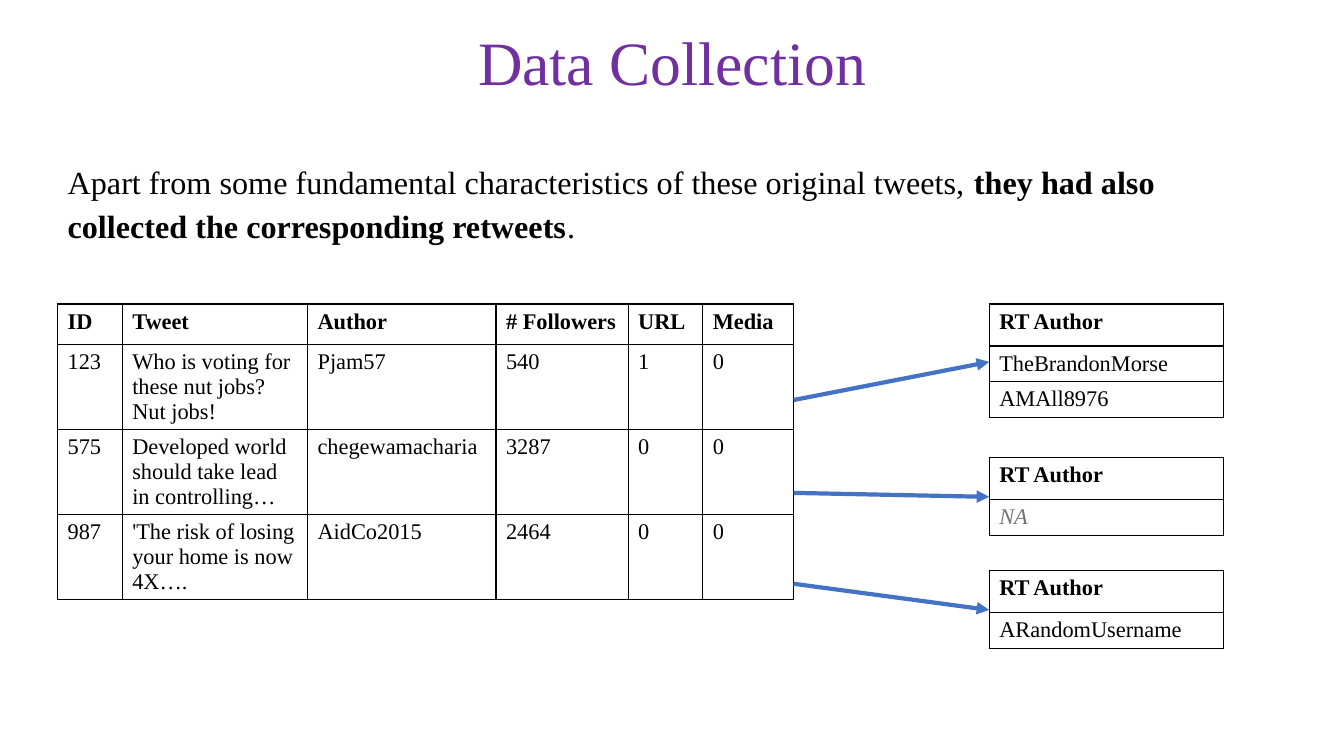
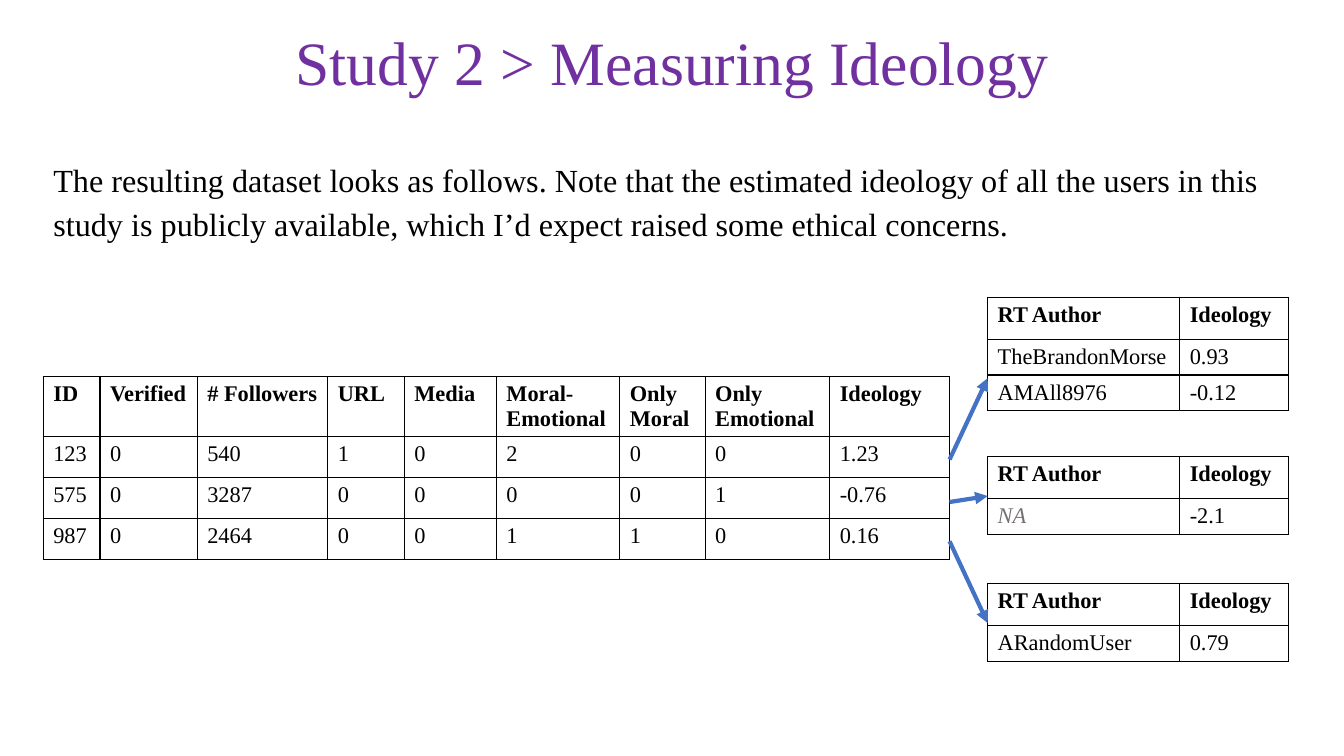
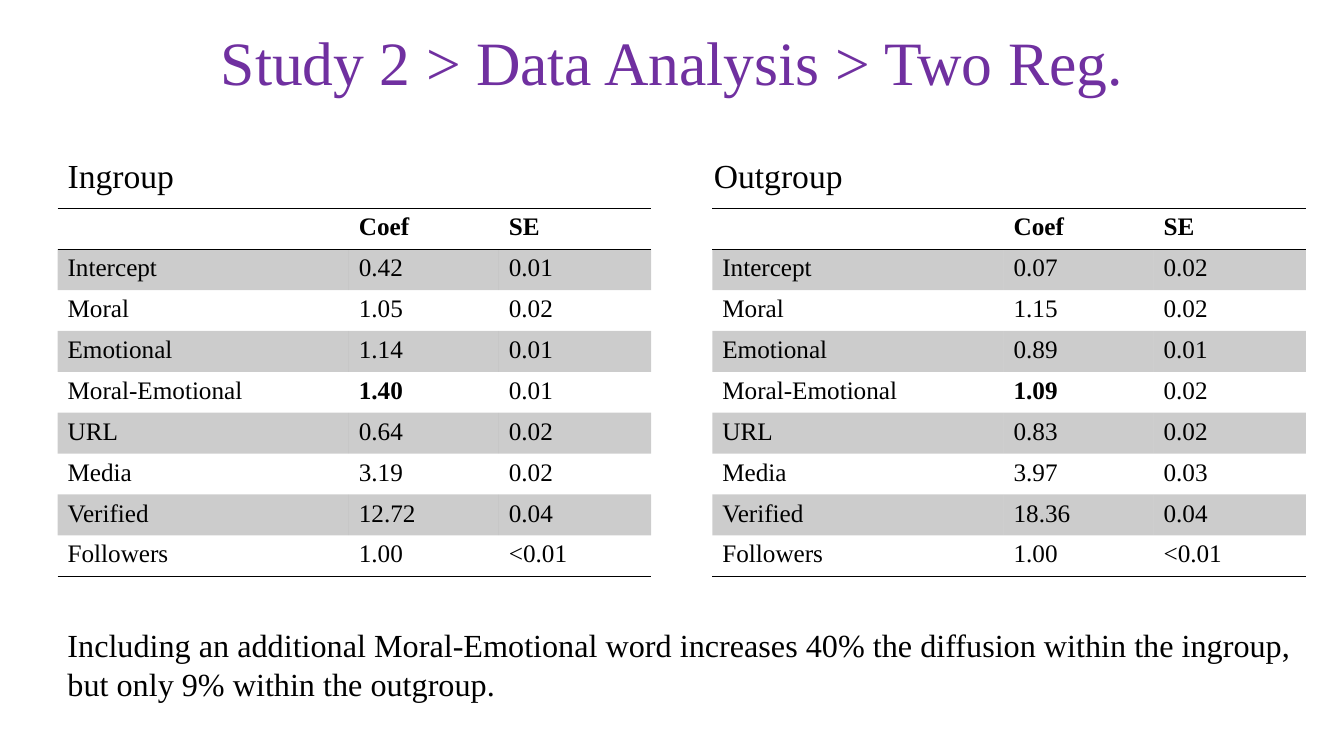
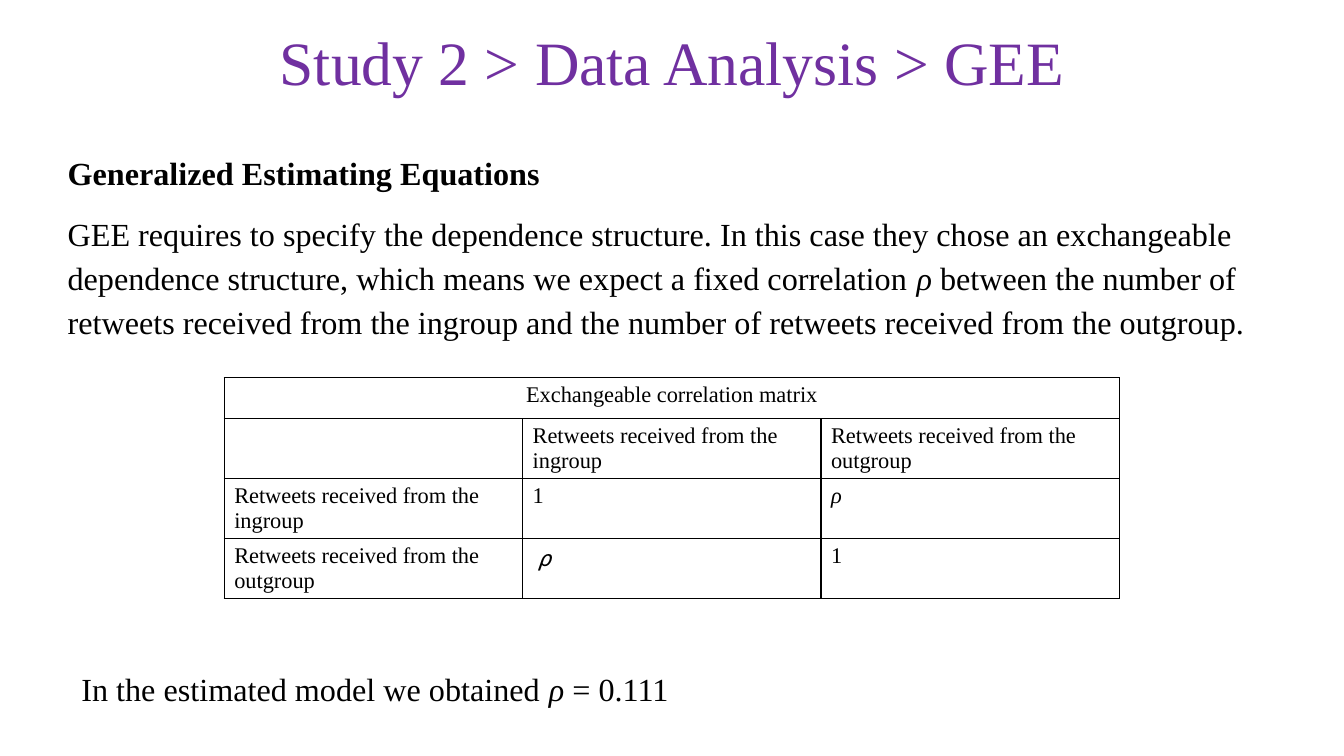
from dataclasses import dataclass
from typing import Optional, Sequence, Union

from lxml import etree
from pptx import Presentation
from pptx.dml.color import RGBColor
from pptx.enum.shapes import MSO_CONNECTOR
from pptx.enum.text import MSO_ANCHOR, MSO_AUTO_SIZE, PP_ALIGN
from pptx.oxml.ns import qn
from pptx.shapes.autoshape import Shape
from pptx.slide import Slide
from pptx.table import Table, _Cell
from pptx.text.text import TextFrame, _Paragraph
from pptx.util import Cm, Pt

CENTER = PP_ALIGN.CENTER
MIDDLE = MSO_ANCHOR.MIDDLE
NO_AUTOFIT = MSO_AUTO_SIZE.NONE
STRAIGHT = MSO_CONNECTOR.STRAIGHT
NO_STYLE_NO_GRID = "{2D5ABB26-0587-4C30-8999-92F81FD0307C}"
TITLE_AND_CONTENT = 1


@dataclass(frozen=True)
class Theme:
    font: str = "Times New Roman"
    symbol_font: str = "Roboto Slab"
    ink: str = "000000"
    title: str = "7030A0"
    muted: str = "767171"
    arrow: str = "4472C4"
    band_opacity: int = 20
    title_size: float = 44
    heading_size: float = 24
    body_size: float = 23
    result_size: float = 18
    cell_size: float = 16
    border_width: float = 1
    arrow_width: float = 3
    row_height: float = 1.03
    title_spacing: float = 0.9
    body_spacing: float = 1.14


THEME = Theme()


@dataclass(frozen=True)
class Span:
    """Text whose format differs from its surroundings."""
    text: str
    bold: bool = False
    italic: bool = False
    color: str = THEME.ink
    font: str = THEME.font


Text = Union[str, Span]
Rows = Sequence[Sequence[Text]]


@dataclass(frozen=True)
class Box:
    left: float
    top: float
    width: float
    height: float


@dataclass(frozen=True)
class Grid:
    """A table: place and column widths in cm, then its rows."""
    left: float
    top: float
    widths: Sequence[float]
    rows: Rows
    heights: Optional[Sequence[float]] = None
    size: float = THEME.cell_size
    header: bool = True
    banded: bool = False


@dataclass(frozen=True)
class Retweets:
    """Authors who retweeted one tweet, and the arrow leading to them."""
    top: float
    arrow_start: float
    arrow_end: float
    rows: Rows


TITLE_BOX = Box(2.34, 0.05, 29.21, 3.2)
NOT_AVAILABLE = Span("NA", italic=True, color=THEME.muted)
RHO = Span("ρ", italic=True)
RHO_SPACED = Span("ρ ", italic=True)


def write(paragraph: _Paragraph, text: str, *, size: float,
          color: str = THEME.ink, font: str = THEME.font,
          bold: bool = False, italic: bool = False) -> None:
    run = paragraph.add_run()
    run.text = text
    run.font.size = Pt(size)
    run.font.name = font
    run.font.bold = bold
    run.font.italic = italic
    run.font.color.rgb = RGBColor.from_string(color)


def write_all(paragraph: _Paragraph, texts: Sequence[Text], size: float,
              bold: bool = False) -> None:
    """Write plain strings and spans one after the other."""
    for text in texts:
        span = Span(text, bold=bold) if isinstance(text, str) else text
        write(paragraph, span.text, size=size, color=span.color,
              font=span.font, bold=span.bold, italic=span.italic)


def place(shape: Shape, box: Box) -> TextFrame:
    shape.left, shape.top = Cm(box.left), Cm(box.top)
    shape.width, shape.height = Cm(box.width), Cm(box.height)
    frame = shape.text_frame
    frame.word_wrap = True
    frame.auto_size = NO_AUTOFIT
    return frame


def set_spacing(paragraph: _Paragraph, before: float, after: float) -> None:
    paragraph.line_spacing = THEME.body_spacing
    paragraph.space_before = Pt(before)
    paragraph.space_after = Pt(after)


def add_titled_slide(deck: Presentation, title: str) -> Slide:
    slide = deck.slides.add_slide(deck.slide_layouts[TITLE_AND_CONTENT])
    frame = place(slide.shapes.title, TITLE_BOX)
    frame.vertical_anchor = MIDDLE
    heading = frame.paragraphs[0]
    heading.alignment = CENTER
    heading.line_spacing = THEME.title_spacing
    write(heading, title, size=THEME.title_size, color=THEME.title)
    return slide


def fill_body(slide: Slide, box: Box, paragraphs: Sequence[Sequence[Text]],
              size: float = THEME.body_size, before: float = 6,
              after: float = 6) -> None:
    """Fill the body placeholder without bullets."""
    frame = place(slide.placeholders[1], box)
    for index, texts in enumerate(paragraphs):
        paragraph = frame.add_paragraph() if index else frame.paragraphs[0]
        set_spacing(paragraph, before, after)
        properties = paragraph._p.get_or_add_pPr()
        properties.set("marL", "0")
        properties.set("indent", "0")
        etree.SubElement(properties, qn("a:buNone"))
        write_all(paragraph, texts, size)


def add_note(slide: Slide, box: Box, texts: Sequence[Text],
             size: float = THEME.body_size) -> _Paragraph:
    note = slide.shapes.add_textbox(0, 0, 0, 0)
    paragraph = place(note, box).paragraphs[0]
    write_all(paragraph, texts, size)
    return paragraph


def draw_borders(cell: _Cell, sides: str) -> None:
    """Draw the sides named by letters out of L, R, T and B, in that order."""
    properties = cell._tc.get_or_add_tcPr()
    for index, side in enumerate(sides):
        line = etree.Element(qn(f"a:ln{side}"), w=str(Pt(THEME.border_width)))
        fill = etree.SubElement(line, qn("a:solidFill"))
        etree.SubElement(fill, qn("a:srgbClr"), val=THEME.ink)
        properties.insert(index, line)


def shade(cell: _Cell) -> None:
    cell.fill.solid()
    cell.fill.fore_color.rgb = RGBColor.from_string(THEME.ink)
    color = cell._tc.tcPr.find(f".//{qn('a:srgbClr')}")
    etree.SubElement(color, qn("a:alpha"), val=str(THEME.band_opacity * 1000))


def add_grid(slide: Slide, grid: Grid) -> Table:
    last = len(grid.rows) - 1
    heights = grid.heights or [THEME.row_height] * len(grid.rows)
    table = slide.shapes.add_table(
        len(grid.rows), len(grid.widths), Cm(grid.left), Cm(grid.top),
        Cm(sum(grid.widths)), Cm(sum(heights))).table
    table.first_row = table.horz_banding = False
    table._tbl.tblPr.find(qn("a:tableStyleId")).text = NO_STYLE_NO_GRID
    for column, width in zip(table.columns, grid.widths):
        column.width = Cm(width)
    for index, (texts, height) in enumerate(zip(grid.rows, heights)):
        table.rows[index].height = Cm(height)
        if not grid.banded:
            sides = "LRTB"
        else:
            sides = "TB" if index == 0 else "B" if index == last else ""
        for cell, text in zip(table.rows[index].cells, texts):
            if grid.banded and index % 2:
                shade(cell)
            else:
                cell.fill.background()
            draw_borders(cell, sides)
            if text:
                write_all(cell.text_frame.paragraphs[0], [text], grid.size,
                          bold=grid.header and index == 0)
    return table


def add_arrow(slide: Slide, left: float, start: float,
              right: float, end: float) -> None:
    arrow = slide.shapes.add_connector(
        STRAIGHT, Cm(left), Cm(start), Cm(right), Cm(end))
    arrow.line.color.rgb = RGBColor.from_string(THEME.arrow)
    arrow.line.width = Pt(THEME.arrow_width)
    etree.SubElement(arrow.line._get_or_add_ln(), qn("a:tailEnd"),
                     type="triangle")
    etree.SubElement(arrow._element.spPr, qn("a:effectLst"))


def add_tweets_with_retweets(slide: Slide, tweets: Grid, left: float,
                             widths: Sequence[float], header: Sequence[str],
                             groups: Sequence[Retweets]) -> None:
    add_grid(slide, tweets)
    for group in groups:
        heights = [1.06] + [0.9] * len(group.rows)
        add_grid(slide, Grid(left, group.top, widths,
                             [header, *group.rows], heights))
        add_arrow(slide, tweets.left + sum(tweets.widths), group.arrow_start,
                  left, group.arrow_end)


def build_data_collection(deck: Presentation) -> None:
    slide = add_titled_slide(deck, "Data Collection")
    fill_body(slide, Box(1.45, 3.82, 30.96, 14.35), [[
        "Apart from some fundamental characteristics of these original tweets, ",
        Span("they had also collected the corresponding retweets", bold=True),
        "."]])
    tweets = Grid(1.45, 7.66, (1.63, 4.67, 4.75, 3.33, 1.88, 2.29), [
        ("ID", "Tweet", "Author", "# Followers", "URL", "Media"),
        ("123", "Who is voting for these nut jobs? Nut jobs!",
         "Pjam57", "540", "1", "0"),
        ("575", "Developed world should take lead in controlling…",
         "chegewamacharia", "3287", "0", "0"),
        ("987", "'The risk of losing your home is now 4X….",
         "AidCo2015", "2464", "0", "0"),
    ])
    add_tweets_with_retweets(slide, tweets, 24.93, (5.9,), ("RT Author",), [
        Retweets(7.66, 10.08, 9.12, [("TheBrandonMorse",), ("AMAll8976",)]),
        Retweets(11.53, 12.42, 12.52, [(NOT_AVAILABLE,)]),
        Retweets(14.38, 14.71, 15.37, [("ARandomUsername",)]),
    ])


def build_measuring_ideology(deck: Presentation) -> None:
    slide = add_titled_slide(deck, "Study 2 > Measuring Ideology")
    fill_body(slide, Box(1.09, 3.78, 31.37, 2.77), [[
        "The resulting dataset looks as follows. Note that the estimated "
        "ideology of all the users in this study is publicly available, "
        "which I’d expect raised some ethical concerns."]],
        before=10, after=0)
    widths = (1.43, 2.45, 3.29, 1.93, 2.32, 3.11, 2.15, 3.14, 3.02)
    tweets = Grid(1.09, 9.49, widths, [
        ("ID", "Verified", "# Followers", "URL", "Media", "Moral-Emotional",
         "Only Moral", "Only Emotional", "Ideology"),
        ("123", "0", "540", "1", "0", "2", "0", "0", "1.23"),
        ("575", "0", "3287", "0", "0", "0", "0", "1", "-0.76"),
        ("987", "0", "2464", "0", "0", "1", "1", "0", "0.16"),
    ])
    header = ("RT Author", "Ideology")
    add_tweets_with_retweets(slide, tweets, 24.89, (4.84, 2.74), header, [
        Retweets(7.49, 11.58, 9.53,
                 [("TheBrandonMorse", "0.93"), ("AMAll8976", "-0.12")]),
        Retweets(11.51, 12.65, 12.5, [(NOT_AVAILABLE, "-2.1")]),
        Retweets(14.71, 13.64, 15.7, [("ARandomUser", "0.79")]),
    ])


def build_two_regressions(deck: Presentation) -> None:
    slide = add_titled_slide(deck, "Study 2 > Data Analysis > Two Reg.")
    fill_body(slide, Box(1.45, 3.63, 14.97, 1.5), [["Ingroup"]],
              size=THEME.heading_size)
    outgroup_heading = add_note(slide, Box(17.74, 3.63, 14.97, 1.5),
                                ["Outgroup"], size=THEME.heading_size)
    set_spacing(outgroup_heading, before=6, after=6)
    terms = ("Intercept", "Moral", "Emotional", "Moral-Emotional", "URL",
             "Media", "Verified", "Followers")
    ingroup = (
        ("0.42", "0.01"), ("1.05", "0.02"), ("1.14", "0.01"),
        (Span("1.40", bold=True), "0.01"), ("0.64", "0.02"),
        ("3.19", "0.02"), ("12.72", "0.04"), ("1.00", "<0.01"))
    outgroup = (
        ("0.07", "0.02"), ("1.15", "0.02"), ("0.89", "0.01"),
        (Span("1.09", bold=True), "0.02"), ("0.83", "0.02"),
        ("3.97", "0.03"), ("18.36", "0.04"), ("1.00", "<0.01"))
    for left, estimates in ((1.45, ingroup), (17.95, outgroup)):
        rows = [("", "Coef", "SE")]
        rows += [(term, *values) for term, values in zip(terms, estimates)]
        add_grid(slide, Grid(left, 5.25, (7.34, 3.78, 3.84), rows,
                             size=THEME.result_size, banded=True))
    add_note(slide, Box(1.45, 15.64, 31.45, 2.24), [
        "Including an additional Moral-Emotional word increases 40% the "
        "diffusion within the ingroup, but only 9% within the outgroup."])


def build_gee(deck: Presentation) -> None:
    slide = add_titled_slide(deck, "Study 2 > Data Analysis > GEE")
    fill_body(slide, Box(1.45, 3.61, 30.96, 14.35), [
        [Span("Generalized Estimating Equations", bold=True)],
        ["GEE requires to specify the dependence structure. In this case they "
         "chose an exchangeable dependence structure, which means we expect "
         "a fixed correlation ",
         RHO_SPACED,
         "between the number of retweets received from the ingroup and the "
         "number of retweets received from the outgroup."],
    ])
    ingroup, outgroup = (f"Retweets received from the {group}"
                         for group in ("ingroup", "outgroup"))
    matrix = add_grid(slide, Grid(5.65, 9.52, (7.52,) * 3, [
        ("Exchangeable correlation matrix", "", ""),
        ("", ingroup, outgroup),
        (ingroup, "1", RHO),
        (outgroup, Span(" ρ", italic=True, font=THEME.symbol_font), "1"),
    ], header=False))
    caption = matrix.cell(0, 0)
    caption.merge(matrix.cell(0, 2))
    caption.text_frame.paragraphs[0].alignment = CENTER
    estimate = add_note(slide, Box(1.8, 16.6, 30.96, 2.01), [
        "In the estimated model we obtained ", RHO_SPACED, "= 0.111"])
    set_spacing(estimate, before=6, after=18)


def main() -> None:
    deck = Presentation()
    deck.slide_width, deck.slide_height = Cm(33.87), Cm(19.05)
    for build in (build_data_collection, build_measuring_ideology,
                  build_two_regressions, build_gee):
        build(deck)
    deck.save("out.pptx")


if __name__ == "__main__":
    main()
